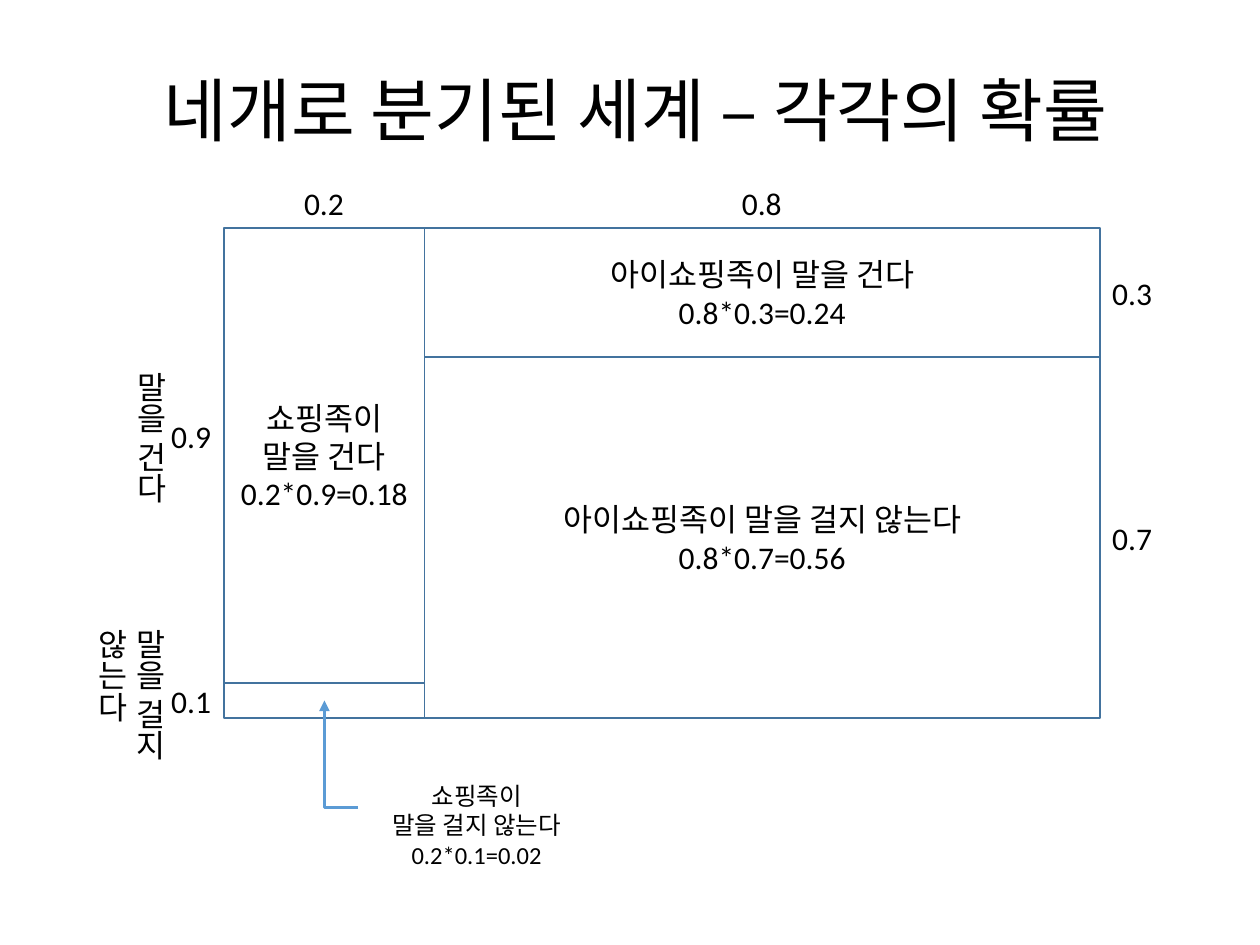
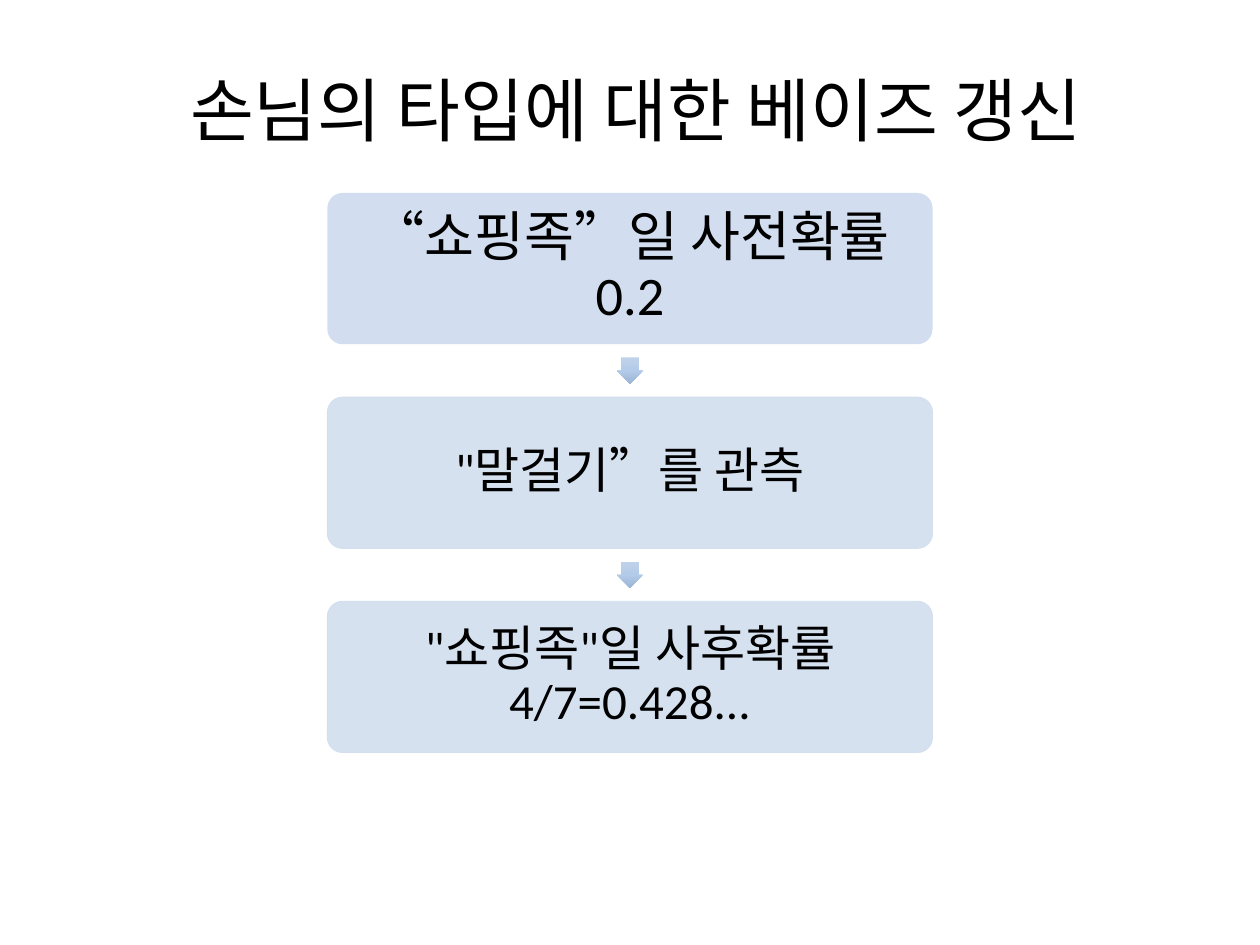
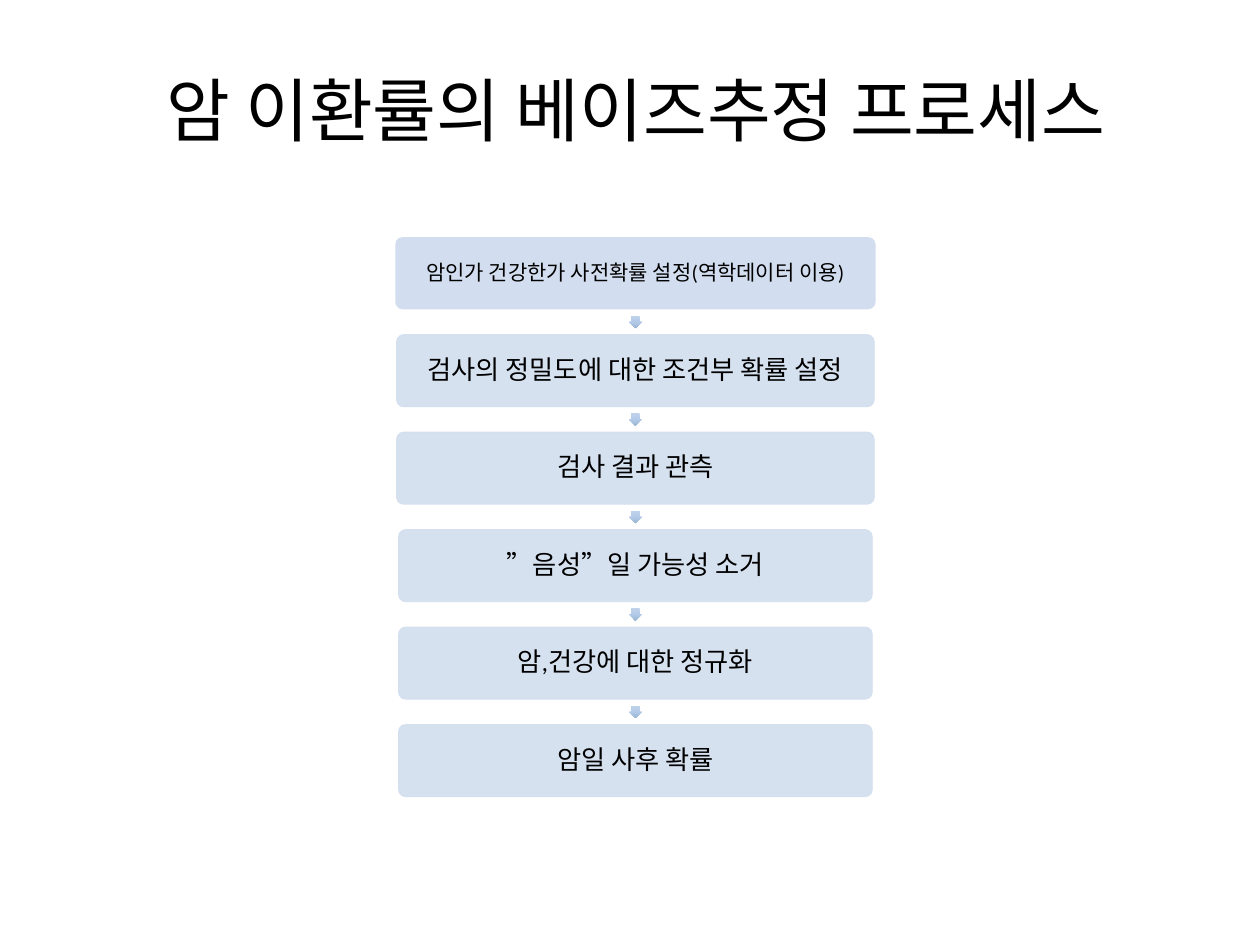
from dataclasses import dataclass

from lxml.etree import SubElement
from pptx import Presentation
from pptx.dml.color import RGBColor
from pptx.enum.shapes import MSO_CONNECTOR, MSO_SHAPE
from pptx.enum.text import MSO_ANCHOR, PP_ALIGN
from pptx.oxml.ns import qn
from pptx.util import Cm, Pt


@dataclass(frozen=True)
class Theme:
    font: str = "Calibri"
    text: str = "000000"
    paper: str = "FFFFFF"
    outline: str = "43739E"
    accent: str = "5B9BD5"
    step: str = "D2DEEF"
    arrow: tuple = ((0, "C0D2EB"), (50, "B3CBE9"), (100, "9BB4D3"))
    title_size: float = 39.6
    body_size: float = 18
    note_size: float = 14


@dataclass(frozen=True)
class Box:
    """A region in centimetres."""
    x: float
    y: float
    w: float
    h: float

    def cm(self):
        return Cm(self.x), Cm(self.y), Cm(self.w), Cm(self.h)


THEME = Theme()
TITLE = Box(1.98, 1.02, 21.67, 2.54)


def rgb(color):
    return RGBColor.from_string(color)


def write(sp, lines, size=THEME.body_size, align=PP_ALIGN.CENTER,
          anchor=MSO_ANCHOR.MIDDLE, wrap=True, spacing=None, inset=None):
    tf = sp.text_frame
    tf.word_wrap = wrap
    tf.vertical_anchor = anchor
    if inset is not None:
        tf.margin_left = tf.margin_right = Cm(inset)
        tf.margin_top = tf.margin_bottom = Cm(inset)
    for i, line in enumerate(lines):
        p = tf.paragraphs[0] if i == 0 else tf.add_paragraph()
        p.alignment = align
        p.line_spacing = spacing
        r = p.add_run()
        r.text = line
        r.font.name = THEME.font
        r.font.size = Pt(size)
        r.font.color.rgb = rgb(THEME.text)


def add_text(s, box, lines, vertical=False, **style):
    sp = s.shapes.add_textbox(*box.cm())
    write(sp, lines, **style)
    if vertical:
        sp.text_frame._txBody.bodyPr.set("vert", "eaVert")


def add_box(s, kind, box, fill=None, line=None, width=1):
    sp = s.shapes.add_shape(kind, *box.cm())
    sp.shadow.inherit = False
    if fill:
        sp.fill.solid()
        sp.fill.fore_color.rgb = rgb(fill)
    else:
        sp.fill.background()
    if line:
        sp.line.color.rgb = rgb(line)
        sp.line.width = Pt(width)
    else:
        sp.line.fill.background()
    return sp


def add_slide(prs, title):
    s = prs.slides.add_slide(prs.slide_layouts[6])
    add_text(s, TITLE, [title], size=THEME.title_size, spacing=0.9)
    return s


def add_elbow_arrow(s, box):
    """Arrow from the lower right corner, left and then up."""
    c = s.shapes.add_connector(MSO_CONNECTOR.ELBOW, Cm(box.x), Cm(box.y),
                               Cm(box.x + box.w), Cm(box.y + box.h))
    c.line.color.rgb = rgb(THEME.accent)
    c.line.width = Pt(2)
    spPr = c._element.spPr
    spPr.find(qn("a:prstGeom")).set("prst", "bentConnector2")
    spPr.find(qn("a:xfrm")).set("rot", "10800000")
    SubElement(spPr.find(qn("a:ln")), qn("a:tailEnd"), type="triangle")
    SubElement(spPr, qn("a:effectLst"))


def add_probability_square(s, box):
    # Cells: a narrow left column and a wide right one, each cut in two
    left_w, left_h, right_h = 4.04, 9.17, 2.6
    right_x, right_w = box.x + left_w, box.w - left_w
    shopper_talks = Box(box.x, box.y, left_w, left_h)
    shopper_silent = Box(box.x, box.y + left_h, left_w, box.h - left_h)
    browser_talks = Box(right_x, box.y, right_w, right_h)
    browser_silent = Box(right_x, box.y + right_h, right_w, box.h - right_h)
    cells = [
        (shopper_talks, THEME.paper, ["쇼핑족이", "말을 건다", "0.2*0.9=0.18"]),
        (browser_talks, None, ["아이쇼핑족이 말을 건다", "0.8*0.3=0.24"]),
        (shopper_silent, None, []),
        (browser_silent, None, ["아이쇼핑족이 말을 걸지 않는다", "0.8*0.7=0.56"]),
    ]
    for cell, fill, lines in cells:
        sp = add_box(s, MSO_SHAPE.RECTANGLE, cell, fill, THEME.outline)
        write(sp, lines)

    # Probabilities along the edges
    w, h = 1.32, 1.02
    label = dict(align=PP_ALIGN.LEFT, anchor=MSO_ANCHOR.TOP)
    for cell, value in ((shopper_talks, "0.2"), (browser_talks, "0.8")):
        add_text(s, Box(cell.x + (cell.w - w) / 2, box.y - h, w, h), [value],
                 wrap=False, **label)
    for x, cell, lift, value in (
            (box.x - w, shopper_talks, 0.39, "0.9"),
            (box.x - w, shopper_silent, 0, "0.1"),
            (box.x + box.w, browser_talks, 0, "0.3"),
            (box.x + box.w, browser_silent, 0, "0.7")):
        y = cell.y + (cell.h - h) / 2 - lift
        add_text(s, Box(x, y, w, h), [value], wrap=False, **label)

    # Upright row names
    add_text(s, Box(box.x - 2.24, box.y + 2.64, 1.27, 3.12), ["말을 건다"],
             vertical=True, wrap=False, **label)
    add_text(s, Box(box.x - 3.05, box.y + 7.82, 2.06, 3.4),
             ["말을 걸지 않는다"], vertical=True, **label)

    # Note for the smallest cell
    add_text(s, Box(box.x + 2.69, box.y + 11.02, 4.8, 2.64),
             ["쇼핑족이", "말을 걸지 않는다", "0.2*0.1=0.02"],
             size=THEME.note_size, anchor=MSO_ANCHOR.TOP)
    add_elbow_arrow(s, Box(box.x + left_w / 2, box.y + 9.52, 0.68, 2.16))


def set_alpha(sp, percent):
    for clr in sp._element.spPr.iter(qn("a:srgbClr")):
        SubElement(clr, qn("a:alpha"), val=str(percent * 1000))


def add_down_arrow(s, box):
    sp = add_box(s, MSO_SHAPE.DOWN_ARROW, box)
    sp.adjustments[0], sp.adjustments[1] = 0.67, 0.5
    sp.fill.gradient()
    sp.fill.gradient_angle = 270
    stops = sp._element.spPr.find(".//" + qn("a:gsLst"))
    for gs in list(stops):
        stops.remove(gs)
    for pos, color in THEME.arrow:
        gs = SubElement(stops, qn("a:gs"), pos=str(pos * 1000))
        SubElement(gs, qn("a:srgbClr"), val=color)


def add_flow(s, box, steps, inset):
    """Stack (text, size, width) steps, with an arrow in each gap."""
    gap_ratio = 0.35
    n = len(steps)
    h = box.h / (n + gap_ratio * (n - 1))
    gap = h * gap_ratio
    center = box.x + box.w / 2
    for i, (text, size, w) in enumerate(steps):
        y = box.y + i * (h + gap)
        # Only the first step is opaque and without an outline
        line = THEME.step if i else None
        sp = add_box(s, MSO_SHAPE.ROUNDED_RECTANGLE,
                     Box(center - w / 2, y, w, h), THEME.step, line, 0.5)
        sp.adjustments[0] = 0.1
        write(sp, [text], size=size, spacing=0.9, inset=inset)
        if i:
            set_alpha(sp, 90)
            side = gap / 2
            add_down_arrow(s, Box(center - side / 2, y - gap * 0.75, side, side))


def main():
    prs = Presentation()
    prs.slide_width, prs.slide_height = Cm(25.4), Cm(19.05)

    s = add_slide(prs, "네개로 분기된 세계 – 각각의 확률")
    add_probability_square(s, Box(4.52, 4.6, 17.65, 9.88))

    s = add_slide(prs, "손님의 타입에 대한 베이즈 갱신")
    add_flow(s, Box(6.6, 3.89, 12.2, 11.28), [
        ("“쇼핑족”일 사전확률 0.2", 31, 12.2),
        ("\"말걸기”를 관측", 28, 12.2),
        ("\"쇼핑족\"일 사후확률 4/7=0.428...", 28, 12.2),
    ], inset=0.1)

    s = add_slide(prs, "암 이환률의 베이즈추정 프로세스")
    add_flow(s, Box(7.97, 4.78, 9.68, 11.28), [
        ("암인가 건강한가 사전확률 설정(역학데이터 이용)", 12, 9.68),
        ("검사의 정밀도에 대한 조건부 확률 설정", 15, 9.63),
        ("검사 결과 관측", 15, 9.63),
        ("”음성”일 가능성 소거", 15, 9.55),
        ("암,건강에 대한 정규화", 15, 9.55),
        ("암일 사후 확률", 15, 9.55),
    ], inset=0.05)

    prs.save("out.pptx")


if __name__ == "__main__":
    main()
